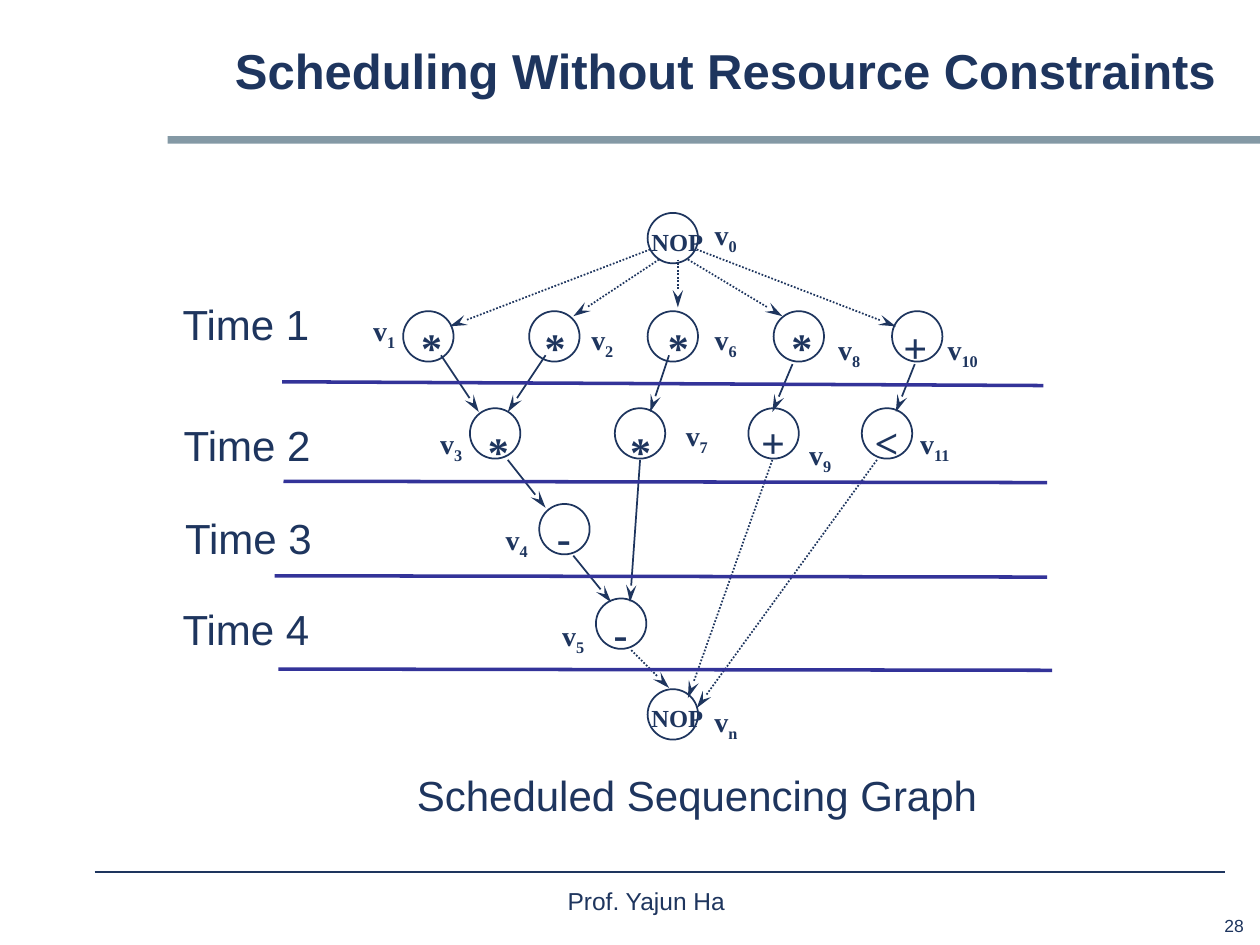
"""Build the slide with the scheduled sequencing graph."""
from lxml import etree
from pptx import Presentation
from pptx.dml.color import RGBColor
from pptx.enum.dml import MSO_LINE
from pptx.enum.shapes import MSO_CONNECTOR, MSO_SHAPE
from pptx.enum.text import MSO_ANCHOR, PP_ALIGN
from pptx.oxml.ns import qn
from pptx.util import Inches, Pt

LEFT, CENTER, RIGHT = PP_ALIGN.LEFT, PP_ALIGN.CENTER, PP_ALIGN.RIGHT
MIDDLE = MSO_ANCHOR.MIDDLE
OVAL, RECT = MSO_SHAPE.OVAL, MSO_SHAPE.RECTANGLE
STRAIGHT = MSO_CONNECTOR.STRAIGHT
DOTTED = MSO_LINE.ROUND_DOT
SANS, SERIF = "Arial", "Times New Roman"
NAVY, BLUE, GRAY = "1E355E", "333399", "8499A5"
NODE_SIZE = 0.4
OP_WIDTHS = {"*": 0.37, "+": 0.39, "<": 0.39, "-": 0.31, "NOP": 0.61}

# index, operation, node corner, operation corner, label corner
NODES = [
    ("0", "NOP", (5.14, 1.69), (5.07, 1.75), (5.57, 1.68)),
    ("1", "*", (3.2, 2.47), (3.24, 2.5), (2.86, 2.44)),
    ("2", "*", (4.2, 2.47), (4.22, 2.5), (4.59, 2.51)),
    ("6", "*", (5.14, 2.47), (5.2, 2.5), (5.57, 2.51)),
    ("8", "*", (6.14, 2.47), (6.18, 2.5), (6.55, 2.59)),
    ("10", "+", (7.08, 2.47), (7.07, 2.5), (7.42, 2.59)),
    ("3", "*", (3.73, 3.24), (3.77, 3.33), (3.39, 3.34)),
    ("7", "*", (4.88, 3.24), (4.9, 3.33), (5.34, 3.27)),
    ("9", "+", (5.94, 3.24), (5.94, 3.26), (6.32, 3.42)),
    ("11", "<", (6.84, 3.24), (6.84, 3.26), (7.2, 3.34)),
    ("4", "-", (4.28, 4), (4.32, 4.01), (3.91, 4.1)),
    ("5", "-", (4.73, 4.75), (4.77, 4.77), (4.36, 4.86)),
    ("n", "NOP", (5.14, 5.47), (5.07, 5.53), (5.57, 5.54)),
]
DOTTED_EDGES = [
    ((5.16, 1.98), (3.57, 2.59)), ((5.53, 1.98), (7.11, 2.59)),
    ((5.23, 2.06), (4.55, 2.51)), ((5.38, 2.06), (5.38, 2.44)),
    ((5.46, 2.06), (6.21, 2.51)), ((5.01, 5.16), (5.31, 5.46)),
    ((6.13, 3.65), (5.46, 5.54)), ((6.96, 3.65), (5.53, 5.62)),
]
SOLID_EDGES = [
    ((3.5, 2.82), (3.8, 3.27)), ((4.33, 2.82), (4.03, 3.27)),
    ((5.31, 2.82), (5.16, 3.27)), ((6.29, 2.89), (6.13, 3.27)),
    ((7.26, 2.89), (7.11, 3.27)), ((4.03, 3.65), (4.33, 4.03)),
    ((4.55, 4.41), (4.85, 4.78)), ((5.08, 3.65), (5, 4.78)),
]
TIME_LINES = [
    ((2.24, 3.03), (8.28, 3.06)), ((2.25, 3.82), (8.31, 3.83)),
    ((2.18, 4.57), (8.31, 4.58)), ((2.21, 5.31), (8.35, 5.32)),
]
TIME_LABELS = [(1.35, 2.37), (1.36, 3.33), (1.37, 4.07), (1.35, 4.79)]


def rgb(value):
    return RGBColor.from_string(value)


class GraphSlide:
    """Holds the text style and the slide being drawn."""

    def __init__(self, slide, color=NAVY):
        self.slide = slide
        self.color = color

    def font(self, r, size, name=SANS, bold=False):
        r.font.size = Pt(size)
        r.font.name = name
        r.font.bold = bold
        r.font.color.rgb = rgb(self.color)

    def title(self, text, x, y, w, h):
        sp = self.slide.shapes.title
        sp.left, sp.top, sp.width, sp.height = map(Inches, (x, y, w, h))
        tf = sp.text_frame
        tf.text = text
        tf.vertical_anchor = MIDDLE
        p = tf.paragraphs[0]
        p.alignment = RIGHT
        p.line_spacing = 0.88
        self.font(p.runs[0], 28, bold=True)

    def text(self, text, x, y, w, h, size, name=SANS, bold=False, align=LEFT,
             wrap=False, spacing=None):
        sp = self.slide.shapes.add_textbox(*map(Inches, (x, y, w, h)))
        tf = sp.text_frame
        tf.text = text
        tf.word_wrap = wrap
        p = tf.paragraphs[0]
        p.alignment = align
        p.line_spacing = spacing
        self.font(p.runs[0], size, name, bold)
        return p

    def caption(self, text, x, y, w):
        self.text(text, x, y, w, 0.45, 24, wrap=True, spacing=0.88)

    def bar(self, x, y, w, h, color):
        sp = self.slide.shapes.add_shape(RECT, *map(Inches, (x, y, w, h)))
        sp.shadow.inherit = False
        sp.fill.solid()
        sp.fill.fore_color.rgb = rgb(color)
        sp.line.fill.background()

    def circle(self, x, y):
        sp = self.slide.shapes.add_shape(
            OVAL, *map(Inches, (x, y, NODE_SIZE, NODE_SIZE)))
        sp.shadow.inherit = False
        sp.fill.background()
        sp.line.color.rgb = rgb(self.color)
        sp.line.width = Pt(1)

    def operation(self, op, x, y):
        size, height = (14, 0.33) if op == "NOP" else (24, 0.5)
        self.text(op, x, y, OP_WIDTHS[op], height, size, SERIF, True, CENTER)

    def label(self, index, x, y):
        width = 0.38 if len(index) == 1 else 0.44
        p = self.text("v", x, y, width, 0.4, 16, SERIF, True, CENTER)
        r = p.add_run()
        r.text = index
        self.font(r, 16, SERIF, True)
        r.font._element.set("baseline", "-25000")

    def line(self, start, end, color=NAVY, width=1, dash=None, arrow=False):
        cxn = self.slide.shapes.add_connector(
            STRAIGHT, *map(Inches, (*start, *end)))
        cxn.line.color.rgb = rgb(color)
        cxn.line.width = Pt(width)
        if dash:
            cxn.line.dash_style = dash
        if arrow:
            etree.SubElement(cxn.line._get_or_add_ln(), qn("a:tailEnd"),
                             type="stealth", w="med", len="lg")
        etree.SubElement(cxn._element.spPr, qn("a:effectLst"))


def main():
    prs = Presentation()
    prs.slide_width, prs.slide_height = Inches(10), Inches(7.5)
    graph = GraphSlide(prs.slides.add_slide(prs.slide_layouts[5]))

    graph.bar(1.33, 1.08, 8.67, 0.06, GRAY)
    graph.line((0.75, 6.92), (9.72, 6.92), width=0.75)
    graph.text("28", 9.32, 7.21, 0.65, 0.26, 10, align=RIGHT)
    graph.title("Scheduling Without Resource Constraints",
                1.33, 0.17, 8.42, 0.83)

    for _, _, corner, _, _ in NODES:
        graph.circle(*corner)
    for start, end in DOTTED_EDGES:
        graph.line(start, end, dash=DOTTED, arrow=True)
    for start, end in SOLID_EDGES:
        graph.line(start, end, arrow=True)
    for index, op, _, op_corner, label_corner in NODES:
        graph.operation(op, *op_corner)
        graph.label(index, *label_corner)

    for start, end in TIME_LINES:
        graph.line(start, end, BLUE, 2)
    for step, (x, y) in enumerate(TIME_LABELS, 1):
        graph.caption(f"Time {step}", x, y, 1.22)
    graph.caption("Scheduled Sequencing Graph", 3.21, 6.11, 4.65)
    graph.text("Prof. Yajun Ha", 3.45, 6.98, 3.36, 0.42, 14, align=CENTER)

    prs.save("out.pptx")


if __name__ == "__main__":
    main()
